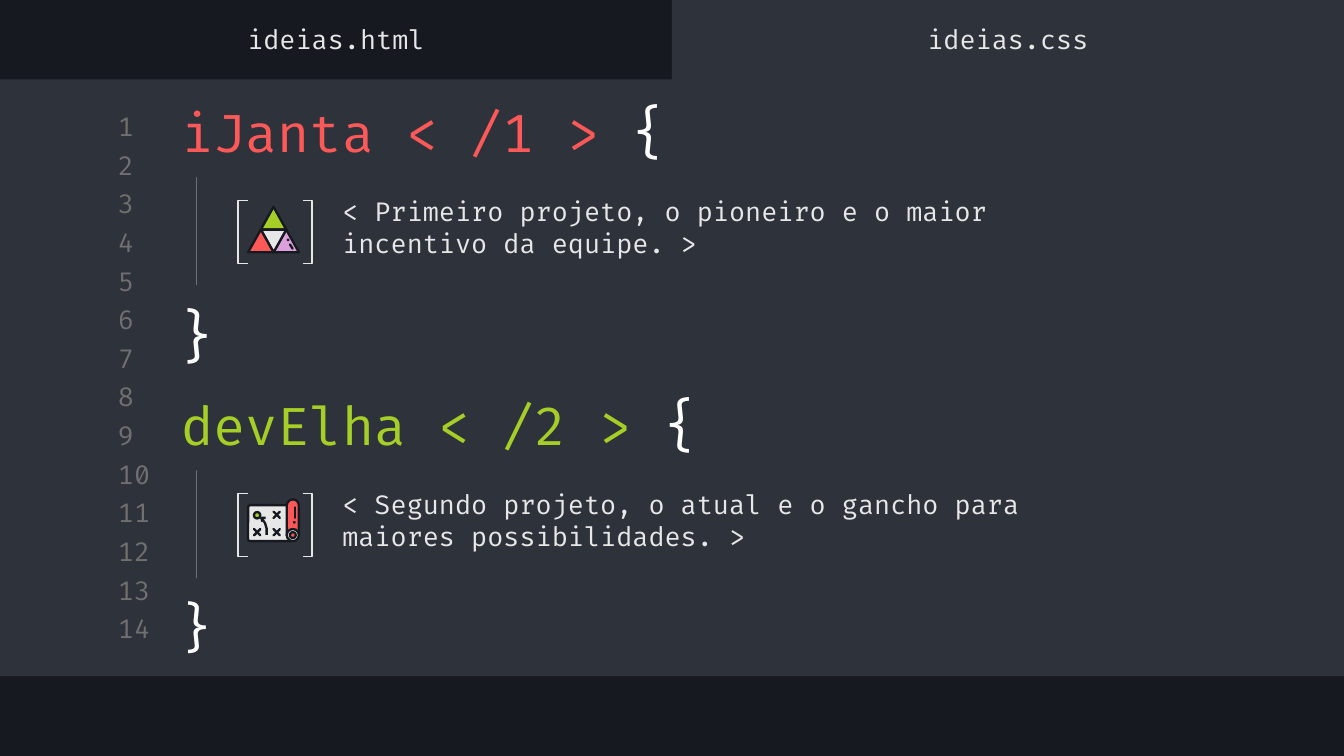
from dataclasses import dataclass
from typing import Callable

from lxml.etree import SubElement
from pptx import Presentation
from pptx.dml.color import RGBColor
from pptx.enum.shapes import MSO_CONNECTOR, MSO_SHAPE
from pptx.enum.text import MSO_ANCHOR, MSO_AUTO_SIZE, PP_ALIGN
from pptx.oxml.ns import qn
from pptx.util import Cm, Pt

NIGHT = RGBColor(0x16, 0x19, 0x1F)
SLATE = RGBColor(0x2E, 0x32, 0x3B)
GREY = RGBColor(0x70, 0x70, 0x70)
LIGHT = RGBColor(0xE7, 0xE7, 0xE7)
WHITE = RGBColor(0xFF, 0xFF, 0xFF)
RED = RGBColor(0xFF, 0x58, 0x58)
GREEN = RGBColor(0xA5, 0xCF, 0x27)
LILAC = RGBColor(0xDB, 0xA0, 0xDB)

FONT = "Fira Code"
STROKE = 1.25
PITCH = 5.54
ROW_STEP = 0.73


@dataclass(frozen=True)
class Area:
    left: float
    top: float
    width: float
    height: float

    def shifted(self, x: float, y: float) -> "Area":
        return Area(self.left + x, self.top + y, self.width, self.height)

    def lengths(self) -> tuple:
        return Cm(self.left), Cm(self.top), Cm(self.width), Cm(self.height)


@dataclass(frozen=True)
class Piece:
    text: str
    size: float
    color: RGBColor


@dataclass(frozen=True)
class Project:
    heading: str
    color: RGBColor
    description: str
    brace_size: float
    draw_icon: Callable


def format_text(box, pieces: list[Piece], align=PP_ALIGN.LEFT, anchor=MSO_ANCHOR.MIDDLE) -> None:
    frame = box.text_frame
    frame.word_wrap = True
    frame.auto_size = MSO_AUTO_SIZE.NONE
    frame.vertical_anchor = anchor
    frame.margin_left = frame.margin_right = Cm(0.25)
    frame.margin_top = frame.margin_bottom = Cm(0.25)
    para = frame.paragraphs[0]
    para.alignment = align
    for piece in pieces:
        span = para.add_run()
        span.text = piece.text
        span.font.name = FONT
        span.font.size = Pt(piece.size)
        span.font.color.rgb = piece.color


def add_text(page, area: Area, piece: Piece, **layout) -> None:
    format_text(page.shapes.add_textbox(*area.lengths()), [piece], **layout)


def add_block(shapes, kind, area: Area, fill: RGBColor | None, line: RGBColor | None = None,
              width: float = STROKE):
    block = shapes.add_shape(kind, *area.lengths())
    block.shadow.inherit = False
    if fill is None:
        block.fill.background()
    else:
        block.fill.solid()
        block.fill.fore_color.rgb = fill
    if line is None:
        block.line.fill.background()
    else:
        block.line.color.rgb = line
        block.line.width = Pt(width)
    return block


def add_line(shapes, start: tuple, end: tuple, color: RGBColor, width: float) -> None:
    ends = [Cm(value) for value in (*start, *end)]
    line = shapes.add_connector(MSO_CONNECTOR.STRAIGHT, *ends)
    line.line.color.rgb = color
    line.line.width = Pt(width)
    properties = line.element.spPr
    properties.find(qn("a:ln")).set("cap", "rnd")
    SubElement(properties, qn("a:effectLst"))


def add_stroke(shapes, points: list[tuple]) -> None:
    corners = [(Cm(x), Cm(y)) for x, y in points]
    builder = shapes.build_freeform(*corners[0])
    builder.add_line_segments(corners[1:], close=False)
    stroke = builder.convert_to_shape()
    stroke.shadow.inherit = False
    stroke.fill.background()
    stroke.line.color.rgb = NIGHT
    stroke.line.width = Pt(STROKE)


def draw_triangles(shapes, x: float, y: float) -> None:
    tiles = [(0.51, 0.46, LILAC, 0), (0.27, 0.03, GREEN, 0),
             (0.27, 0.46, LIGHT, 180), (0.03, 0.46, RED, 0)]
    for left, top, color, rotation in tiles:
        tile = add_block(shapes, MSO_SHAPE.ISOSCELES_TRIANGLE,
                         Area(x + left, y + top, 0.48, 0.43), color, NIGHT)
        tile.rotation = rotation
    add_block(shapes, MSO_SHAPE.OVAL, Area(x + 0.76, y + 0.63, 0.05, 0.05), NIGHT)
    add_line(shapes, (x + 0.82, y + 0.74), (x + 0.87, y + 0.82), NIGHT, STROKE)


def draw_map(shapes, x: float, y: float) -> None:
    sheet = add_block(shapes, MSO_SHAPE.ROUNDED_RECTANGLE,
                      Area(x + 0.03, y + 0.13, 0.84, 0.68), LIGHT, NIGHT)
    sheet.adjustments[0] = 0.06
    roll = add_block(shapes, MSO_SHAPE.ROUND_2_SAME_RECTANGLE,
                     Area(x + 0.76, y + 0.02, 0.23, 0.68), RED, NIGHT)
    roll.adjustments[0] = 0.5
    circles = [(0.76, 0.58, 0.23, LIGHT, NIGHT), (0.82, 0.64, 0.11, RED, NIGHT),
               (0.14, 0.26, 0.12, GREEN, NIGHT), (0.88, 0.43, 0.05, NIGHT, None)]
    for left, top, size, fill, line in circles:
        add_block(shapes, MSO_SHAPE.OVAL, Area(x + left, y + top, size, size), fill, line)
    add_line(shapes, (x + 0.91, y + 0.17), (x + 0.91, y + 0.37), NIGHT, STROKE)
    for center_x, center_y in [(0.57, 0.31), (0.57, 0.64), (0.2, 0.64)]:
        for rise in (-0.06, 0.06):
            add_line(shapes, (x + center_x - 0.06, y + center_y - rise),
                     (x + center_x + 0.06, y + center_y + rise), NIGHT, STROKE)
    route = [(0.38, 0.69), (0.38, 0.57), (0.35, 0.47), (0.28, 0.37)]
    arrowhead = [(0.3, 0.44), (0.28, 0.37), (0.36, 0.37)]
    for points in (route, arrowhead):
        add_stroke(shapes, [(x + left, y + top) for left, top in points])


def draw_project(page, project: Project, heading_box, shift: float) -> None:
    format_text(heading_box, [Piece(project.heading, 28, project.color), Piece("{", 30, WHITE)])
    add_text(page, Area(6.22, 3.2, 14.27, 2.18).shifted(0, shift),
             Piece(project.description, 14, LIGHT))
    for kind, left in ((MSO_SHAPE.LEFT_BRACKET, 4.5), (MSO_SHAPE.RIGHT_BRACKET, 5.72)):
        bracket = add_block(page.shapes, kind, Area(left, 3.79, 0.18, 1.19).shifted(0, shift),
                            None, LIGHT, 0.75)
        bracket.adjustments[0] = 0
    add_line(page.shapes, (3.71, 3.36 + shift), (3.71, 5.38 + shift), GREY, 0.75)
    add_text(page, Area(3.02, 5.44, 1.4, 1.8).shifted(0, shift),
             Piece("}", project.brace_size, WHITE), align=PP_ALIGN.CENTER, anchor=MSO_ANCHOR.TOP)
    project.draw_icon(page.shapes.add_group_shape().shapes, 4.66, 3.88 + shift)


PROJECTS = [
    Project("iJanta < /1 > ", RED,
            "< Primeiro projeto, o pioneiro e o maior incentivo da equipe. >", 30, draw_triangles),
    Project("devElha < /2 > ", GREEN,
            "< Segundo projeto, o atual e o gancho para maiores possibilidades. >", 28, draw_map),
]


def main() -> None:
    deck = Presentation()
    deck.slide_width, deck.slide_height = Cm(25.4), Cm(14.29)
    page = deck.slides.add_slide(deck.slide_layouts[5])
    page.background.fill.solid()
    page.background.fill.fore_color.rgb = NIGHT

    for panel in (Area(0, 1.5, 25.4, 11.28), Area(12.7, 0, 12.7, 1.65)):
        add_block(page.shapes, MSO_SHAPE.RECTANGLE, panel, SLATE)
    for row in range(14):
        add_text(page, Area(1.98, 2.08 + row * ROW_STEP, 1.19, 0.61),
                 Piece(str(row + 1), 14, GREY))
    for column, name in enumerate(("ideias.html", "ideias.css")):
        add_text(page, Area(12.7 * column, 0.25, 12.7, 0.99), Piece(name, 14, LIGHT),
                 align=PP_ALIGN.CENTER)

    title = page.shapes.title
    page.shapes.element.append(title.element)
    heading_area = Area(3.18, 1.73, 11.28, 1.47)
    title.left, title.top, title.width, title.height = heading_area.lengths()
    second_heading = page.shapes.add_textbox(*heading_area.shifted(0, PITCH).lengths())
    for index, (project, heading_box) in enumerate(zip(PROJECTS, (title, second_heading))):
        draw_project(page, project, heading_box, index * PITCH)

    deck.save("out.pptx")


if __name__ == "__main__":
    main()
